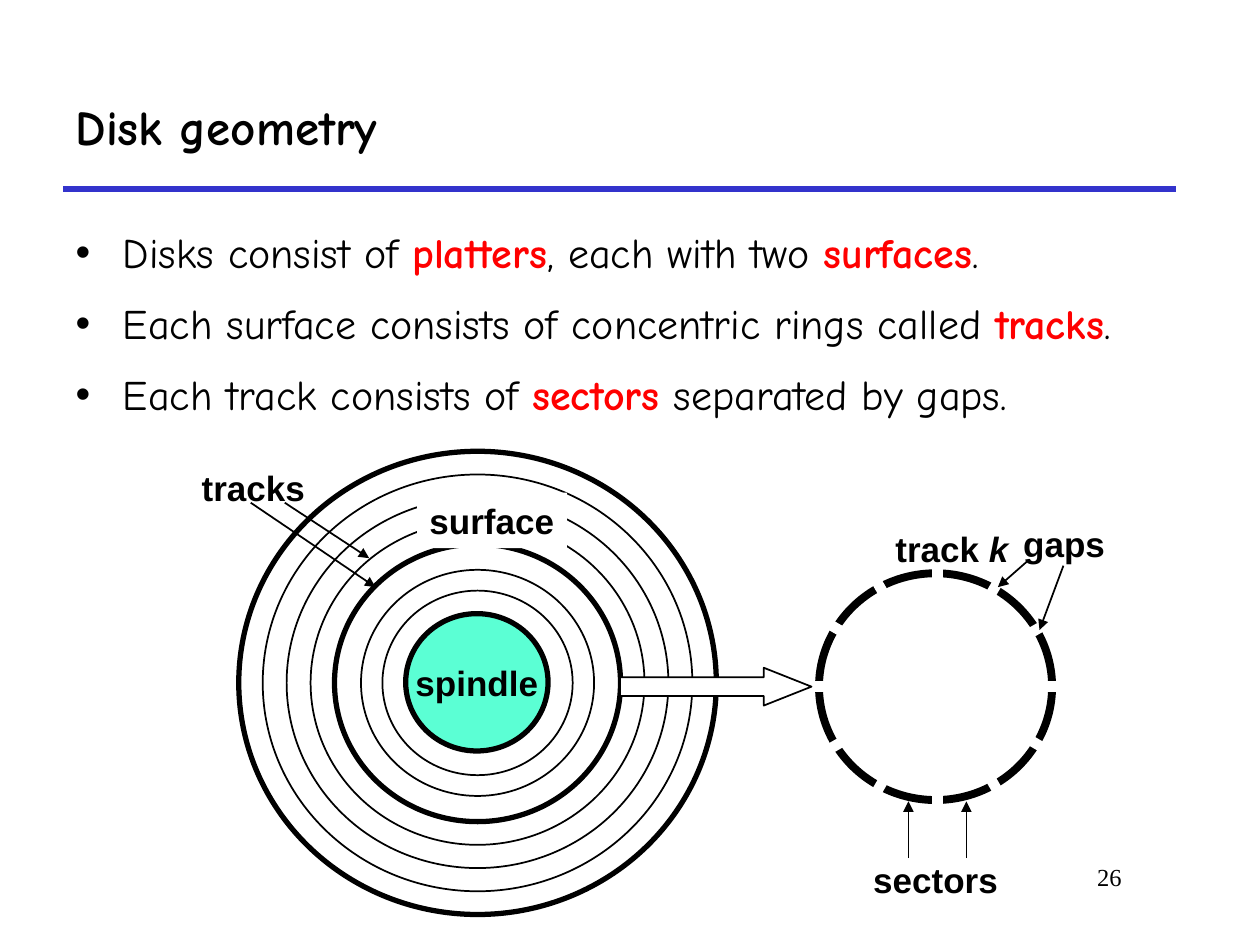
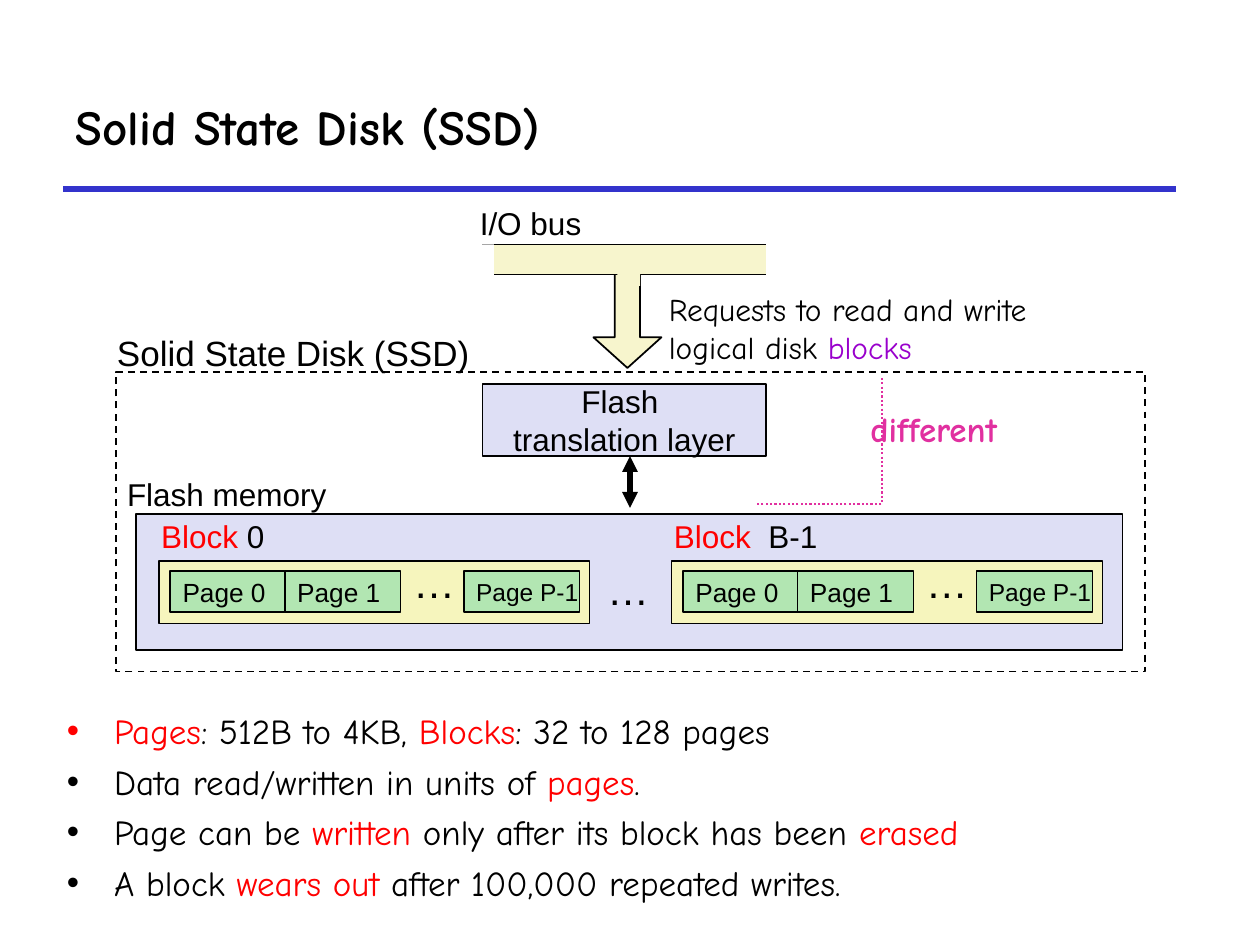
from math import cos, radians, sin

from lxml import etree
from pptx import Presentation
from pptx.dml.color import RGBColor
from pptx.enum import dml, shapes, text
from pptx.oxml import ns
from pptx.util import Inches, Pt


class Look:
    ink, paper, rule, red = "000000", "FFFFFF", "3333CC", "FF0000"
    mint, lilac, cream, straw, green = "5BFFD4", "DEDFF5", "F7F5CD", "F6F5BD", "B2E6B2"
    plum, pink = "9900CC", "E130A0"
    hand, sans, serif = "Comic Neue", "Arial", "Times New Roman"
    title, large, label, mid, page, small = 28, 24, 20, 18, 15, 14
    thin, bold, heavy, gap = 1, 3, 4.5, 6


KIND = shapes.MSO_SHAPE
LEFT, MID, RIGHT = text.PP_ALIGN.LEFT, text.PP_ALIGN.CENTER, text.PP_ALIGN.RIGHT
SPOTS = {"title": 0, "body": 1}


def put(sl, kind, box, words="", size=Look.label, font=Look.sans, hue=Look.ink,
        bold=False, hot=Look.red, strong=False, slant=False, align=LEFT,
        wrap=False, fill=None, pen=0):
    """Place a placeholder, text box (kind None) or shape; |bars| mark stressed words."""
    area = [Inches(v) for v in box]
    if kind in SPOTS:
        item = sl.placeholders[SPOTS[kind]]
        item.left, item.top, item.width, item.height = area
    elif kind is None:
        item = sl.shapes.add_textbox(*area)
    else:
        item = sl.shapes.add_shape(kind, *area)
        item.shadow.inherit = False
        if not fill:
            item.fill.background()
        if pen:
            item.line.color.rgb = RGBColor.from_string(Look.ink)
            item.line.width = Pt(pen)
        else:
            item.line.fill.background()
    if fill:
        item.fill.solid()
        item.fill.fore_color.rgb = RGBColor.from_string(fill)
    if not words:
        return item
    frame = item.text_frame
    frame.word_wrap = wrap
    frame.auto_size = text.MSO_AUTO_SIZE.NONE
    frame.vertical_anchor = text.MSO_ANCHOR.TOP if kind == "body" else text.MSO_ANCHOR.MIDDLE
    for n, line in enumerate(words.split("\n")):
        para = frame.add_paragraph() if n else frame.paragraphs[0]
        para.alignment = align
        for k, piece in enumerate(line.split("|")):
            if not piece:
                continue
            run = para.add_run()
            run.text = piece
            stress = k % 2 == 1
            run.font.name, run.font.size = font, Pt(size)
            run.font.bold = bold or (stress and strong)
            run.font.italic = stress and slant
            run.font.color.rgb = RGBColor.from_string(hot if stress else hue)
    return item


def wire(sl, ends, hue=Look.ink, width=Look.thin, tips=()):
    """Draw a straight line; tips names the ends that carry an arrowhead."""
    item = sl.shapes.add_connector(shapes.MSO_CONNECTOR.STRAIGHT, *[Inches(v) for v in ends])
    item.line.color.rgb = RGBColor.from_string(hue)
    item.line.width = Pt(width)
    for tip in tips:
        etree.SubElement(item.line._get_or_add_ln(), ns.qn(f"a:{tip}"), type="triangle")
    etree.SubElement(item._element.spPr, ns.qn("a:effectLst"))
    return item


deck = Presentation()
deck.slide_width, deck.slide_height = Inches(10), Inches(7.5)
disk, ssd = [deck.slides.add_slide(deck.slide_layouts[1]) for _ in range(2)]

# Shared title style and rule
for sl, name in ((disk, "Disk geometry"), (ssd, "Solid State Disk (SSD)")):
    put(sl, "title", (0.5, 0.5, 8.83, 1), name, Look.title, Look.hand, bold=True, wrap=True)
    wire(sl, (0.5, 1.5, 9.33, 1.5), Look.rule, Look.bold)

# Disk geometry: list
facts = put(disk, "body", (0.5, 1.67, 9.25, 4.75),
            "Disks consist of |platters|, each with two |surfaces|.\n"
            "Each surface consists of concentric rings called |tracks|.\n"
            "Each track consists of |sectors| separated by gaps.",
            Look.large, Look.hand, strong=True, wrap=True)
for para in facts.text_frame.paragraphs:
    para.line_spacing, para.space_before = 1.2, Pt(6)
put(disk, None, (7.58, 6.75, 1.42, 0.42), "26", Look.small, Look.serif, align=RIGHT, wrap=True)

# Platter: concentric tracks around the spindle
hubx, huby, flat = 3.79, 5.42, 0.97
for wide in (3.79, 3.41, 3.03, 2.65, 2.27, 1.85, 1.51):
    tall = wide * flat
    put(disk, KIND.OVAL, (hubx - wide / 2, huby - tall / 2, wide, tall),
        pen=Look.bold if wide in (3.79, 2.27) else Look.thin)
put(disk, KIND.OVAL, (3.22, 4.87, 1.13, 1.09), "spindle", bold=True, align=MID,
    fill=Look.mint, pen=Look.bold)
put(disk, KIND.RECTANGLE, (3.31, 3.91, 1.19, 0.44), "surface", bold=True, fill=Look.paper)

# Track k: a ring cut into twelve sectors
put(disk, KIND.OVAL, (6.5, 4.55, 1.85, 1.8), pen=Look.heavy)
ringx, ringy, reach = 7.44, 5.45, 1.05
for turn in range(0, 360, 30):
    wire(disk, (ringx, ringy, ringx + reach * cos(radians(turn)),
                ringy + reach * sin(radians(turn))), Look.paper, Look.gap)

arrow = put(disk, KIND.RIGHT_ARROW, (4.92, 5.3, 1.52, 0.3), fill=Look.paper, pen=Look.thin)
arrow.adjustments[0], arrow.adjustments[1] = 0.5, 1.26

for ends in ((1.99, 3.99, 2.98, 4.66), (2.26, 3.99, 2.93, 4.43),
             (7.21, 6.81, 7.21, 6.36), (7.67, 6.81, 7.67, 6.36),
             (8.17, 4.44, 7.92, 4.66), (8.44, 4.49, 8.25, 5)):
    wire(disk, ends, tips=["tailEnd"])
for name, x, y, wide in (("tracks", 1.5, 3.65, 1.02), ("track |k|", 7.01, 4.13, 1.09),
                         ("sectors", 6.83, 6.76, 1.19), ("gaps", 8.02, 4.09, 0.85)):
    put(disk, None, (x, y, wide, 0.44), name, bold=True, hot=Look.ink, slant=True,
        align=MID)

# Solid state disk: list
notes = put(ssd, "body", (0.43, 5.58, 9.32, 1.67),
            "|Pages|: 512B to 4KB, |Blocks|: 32 to 128 pages\n"
            "Data read/written in units of |pages|.\n"
            "Page can be |written| only after its block has been |erased|\n"
            "A block |wears out |after 100,000 repeated writes.",
            Look.label, Look.hand, wrap=True)
for para in notes.text_frame.paragraphs:
    para.space_before = Pt(5)

# Bus, translation layer and flash memory
put(ssd, KIND.RECTANGLE, (1.08, 4.08, 7.83, 1.08), fill=Look.lilac, pen=Look.thin)
down = put(ssd, KIND.DOWN_ARROW, (4.71, 2.17, 0.54, 0.75), fill=Look.cream, pen=Look.thin)
down.adjustments[0], down.adjustments[1] = 0.37, 0.45
put(ssd, KIND.RECTANGLE, (3.83, 3.05, 2.25, 0.57), "Flash \ntranslation layer", Look.mid,
    align=MID, fill=Look.lilac, pen=Look.thin)
wire(ssd, (5, 3.62, 5, 4.03), width=Look.bold, tips=["headEnd", "tailEnd"])
put(ssd, KIND.RECTANGLE, (3.83, 1.94, 2.33, 0.24), fill=Look.cream, pen=Look.thin)
put(ssd, KIND.RECTANGLE, (4.9, 2.1, 0.18, 0.17), fill=Look.cream)
put(ssd, None, (3.71, 1.57, 1, 0.4), "I/O bus", Look.mid)

# Blocks of pages
for left, name, wide in ((1.26, "|Block| 0", 1.02), (5.33, "|Block|  B-1", 1.34)):
    put(ssd, KIND.RECTANGLE, (left, 4.45, 3.42, 0.5), fill=Look.straw, pen=Look.thin)
    for shift, page, size in ((0.09, "Page 0", Look.page), (1, "Page 1", Look.page),
                              (2.42, "Page P-1", Look.small)):
        put(ssd, KIND.RECTANGLE, (left + shift, 4.53, 0.92, 0.33), page, size,
            fill=Look.green, pen=Look.thin)
    put(ssd, None, (left + 1.92, 4.37, 0.53, 0.5), "…", Look.large)
    put(ssd, None, (left - 0.08, 4.05, wide, 0.4), name, Look.mid)
put(ssd, None, (4.72, 4.42, 0.53, 0.5), "…", Look.large)

put(ssd, None, (0.91, 3.72, 1.78, 0.4), "Flash memory", Look.mid)
case = put(ssd, KIND.RECTANGLE, (0.92, 2.95, 8.17, 2.38), pen=Look.thin)
case.line.dash_style = dml.MSO_LINE.DASH
put(ssd, None, (0.83, 2.58, 3, 0.44), "Solid State Disk (SSD)")
put(ssd, None, (5.21, 2.25, 3.54, 0.7), "Requests to read and write logical disk |blocks|",
    Look.mid, Look.hand, hot=Look.plum, wrap=True)
for x, y in ((3.42, 1.94), (6.08, 1.83)):
    put(ssd, KIND.RECTANGLE, (x, y, 0.5, 0.5), fill=Look.paper)

# Dotted curve from the logical blocks to the flash blocks
bends = [((6.93, 2.84), (7.14, 3), (7.36, 3.15), (7.2, 3.31)),
         ((7.2, 3.31), (7.05, 3.46), (6.24, 3.65), (6, 3.78)),
         ((6, 3.78), (5.76, 3.91), (5.76, 3.99), (5.75, 4.08))]
steps = 12
dots = []
for bend in bends:
    for n in range(1, steps + 1):
        t = n / steps
        parts = ((1 - t) ** 3, 3 * t * (1 - t) ** 2, 3 * t * t * (1 - t), t ** 3)
        dots.append([sum(p * spot[axis] for p, spot in zip(parts, bend)) for axis in (0, 1)])
pen = ssd.shapes.build_freeform(*bends[0][0], scale=Inches(1))
pen.add_line_segments(dots, close=False)
curve = pen.convert_to_shape()
curve.shadow.inherit = False
curve.fill.background()
curve.line.color.rgb = RGBColor.from_string(Look.pink)
curve.line.width = Pt(1.25)
curve.line.dash_style = dml.MSO_LINE.ROUND_DOT
put(ssd, None, (6.81, 3.18, 1.22, 0.44), "different", font=Look.hand, hue=Look.pink, bold=True)

deck.save("out.pptx")
